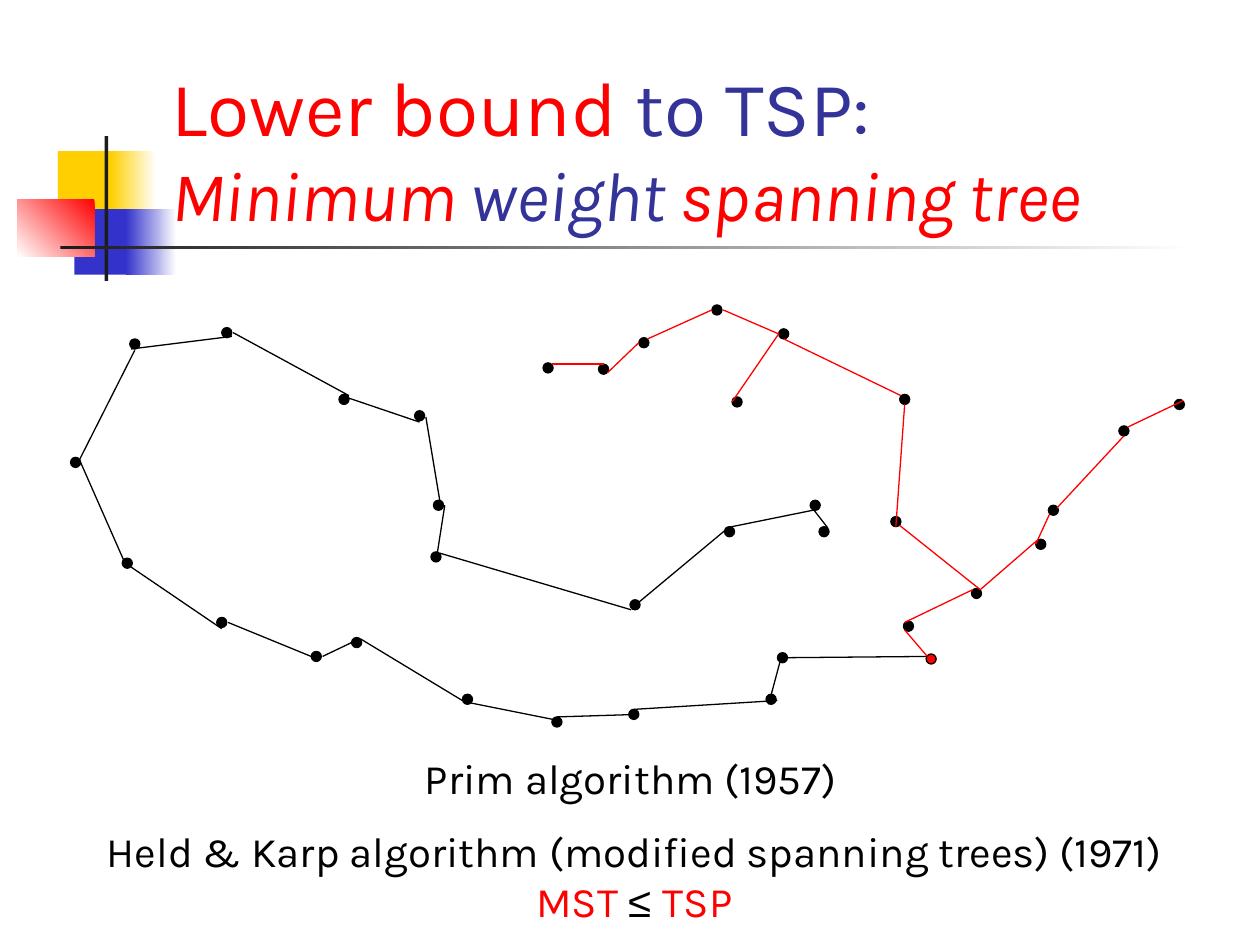
"""Build the slide on the spanning-tree lower bound to the TSP."""
import pptx
import pptx.util
import pptx.dml.color
import pptx.enum.shapes
import pptx.enum.text
from dataclasses import dataclass
from lxml import etree


@dataclass(frozen=True)
class Theme:
    font: str = "Karla"
    symbol_font: str = "Arial"
    title: int = 44
    subtitle: int = 40
    body: int = 24
    black: str = "000000"
    white: str = "FFFFFF"
    red: str = "FF0000"
    navy: str = "333399"
    blue: str = "3333CC"
    yellow: str = "FFCF01"
    dark: str = "1C1C1C"


theme = Theme()
PX = 9144
RGB = pptx.dml.color.RGBColor.from_string
SHAPE = pptx.enum.shapes.MSO_SHAPE
ANCHOR = pptx.enum.text.MSO_ANCHOR
ALIGN = pptx.enum.text.PP_ALIGN

prs = pptx.Presentation()
prs.slide_width, prs.slide_height = 1000 * PX, 750 * PX
s = prs.slides.add_slide(prs.slide_layouts[5])


def add_filled(kind, box, color):
    sp = s.shapes.add_shape(kind, *[v * PX for v in box])
    sp.shadow.inherit = False
    sp.fill.solid()
    sp.fill.fore_color.rgb = RGB(color)
    sp.line.fill.background()
    return sp


def add_runs(p, parts, size, italic=False):
    for text, color in parts:
        r = p.add_run()
        r.text = text
        r.font.name = theme.symbol_font if "≤" in text else theme.font
        r.font.size = pptx.util.Pt(size)
        r.font.italic = italic
        r.font.color.rgb = RGB(color)


ornaments = [
    ((46, 120, 48, 52), theme.yellow, None, 0),
    ((88, 120, 36, 52), theme.yellow, theme.white, 0),
    ((59, 166, 46, 52), theme.blue, None, 0),
    ((100, 166, 40, 52), theme.blue, theme.white, 0),
    ((14, 158, 61, 46), theme.red, theme.white, 225),
    ((83, 108, 3, 115), theme.dark, None, 0),
    ((48, 195, 900, 3), theme.dark, theme.white, 0),
]
for box, color, fade, angle in ornaments:
    sp = add_filled(SHAPE.RECTANGLE, box, color)
    if fade:
        sp.fill.gradient()
        sp.fill.gradient_angle = angle
        for stop, stop_color in zip(sp.fill.gradient_stops, (color, fade)):
            stop.color.rgb = RGB(stop_color)

title = s.shapes.title
title.left, title.top, title.width, title.height = [v * PX for v in (126, 67, 852, 125)]
tf = title.text_frame
tf.word_wrap = True
tf.auto_size = pptx.enum.text.MSO_AUTO_SIZE.NONE
tf.vertical_anchor = ANCHOR.BOTTOM
p = tf.paragraphs[0]
p.alignment = ALIGN.LEFT
add_runs(p, [("Lower bound", theme.red), (" to TSP:", theme.navy)], theme.title)
p.add_line_break()
add_runs(p, [("Minimum", theme.red), (" weight ", theme.navy), ("spanning tree", theme.red)],
         theme.subtitle, italic=True)

NODE = 8
root = (735, 519)
path_nodes = [
    (344, 397), (342, 438), (367, 551), (329, 326), (269, 313), (176, 260), (103, 269),
    (56, 363), (97, 443), (172, 490), (247, 517), (279, 506), (438, 569), (499, 563),
    (608, 551), (500, 476), (643, 397), (650, 418), (575, 418), (617, 518), root,
]
path_edges = [
    (643, 401, 657, 419), (279, 510, 256, 521), (621, 518, 610, 559), (353, 401, 346, 446),
    (507, 567, 442, 569), (333, 335, 271, 314), (576, 419, 650, 404), (439, 571, 374, 558),
    (104, 277, 184, 267), (338, 331, 349, 397), (181, 494, 247, 521), (176, 499, 104, 450),
    (101, 451, 64, 367), (617, 556, 503, 563), (507, 478, 579, 418), (286, 507, 367, 556),
    (625, 522, 736, 521), (60, 371, 107, 278), (185, 264, 277, 314), (349, 439, 501, 484),
]
tree_nodes = [
    (431, 288), (475, 289), (507, 268), (565, 242), (618, 261), (581, 315), (717, 493),
    (771, 467), (707, 410), (714, 313), (822, 428), (832, 401), (888, 338), (932, 317),
]
tree_edges = [
    (839, 403, 892, 346), (833, 408, 822, 432), (718, 500, 736, 521), (479, 289, 438, 289),
    (482, 296, 507, 272), (939, 318, 895, 339), (574, 246, 618, 265), (718, 494, 772, 468),
    (778, 468, 823, 429), (514, 269, 565, 246), (581, 319, 618, 265), (711, 418, 718, 321),
    (622, 269, 715, 314), (778, 468, 714, 417),
]
for nodes, edges, color in [(path_nodes, path_edges, theme.black),
                            (tree_nodes, tree_edges, theme.red)]:
    for node in nodes:
        fill = theme.red if node == root else theme.black
        sp = add_filled(SHAPE.FLOWCHART_CONNECTOR, (*node, NODE, NODE), fill)
        sp.line.color.rgb = RGB(theme.black)
        sp.line.width = pptx.util.Pt(0.75)
    for edge in edges:
        line = s.shapes.add_connector(pptx.enum.shapes.MSO_CONNECTOR.STRAIGHT,
                                      *[v * PX for v in edge])
        line.line.color.rgb = RGB(color)
        line.line.width = pptx.util.Pt(0.75)
        etree.SubElement(line._element.spPr, pptx.oxml.ns.qn("a:effectLst"))

captions = [
    ((320, 592, 361, 50), [[("Prim algorithm (1957)", theme.black)]]),
    ((60, 650, 887, 90), [
        [("Held & Karp algorithm (modified spanning trees) (1971)", theme.black)],
        [("MST ", theme.red), ("≤ ", theme.black), ("TSP", theme.red)],
    ]),
]
for box, lines in captions:
    tf = s.shapes.add_textbox(*[v * PX for v in box]).text_frame
    tf.word_wrap = False
    tf.auto_size = pptx.enum.text.MSO_AUTO_SIZE.SHAPE_TO_FIT_TEXT
    for i, parts in enumerate(lines):
        p = tf.add_paragraph() if i else tf.paragraphs[0]
        p.alignment = ALIGN.CENTER
        add_runs(p, parts, theme.body)

prs.save("out.pptx")
